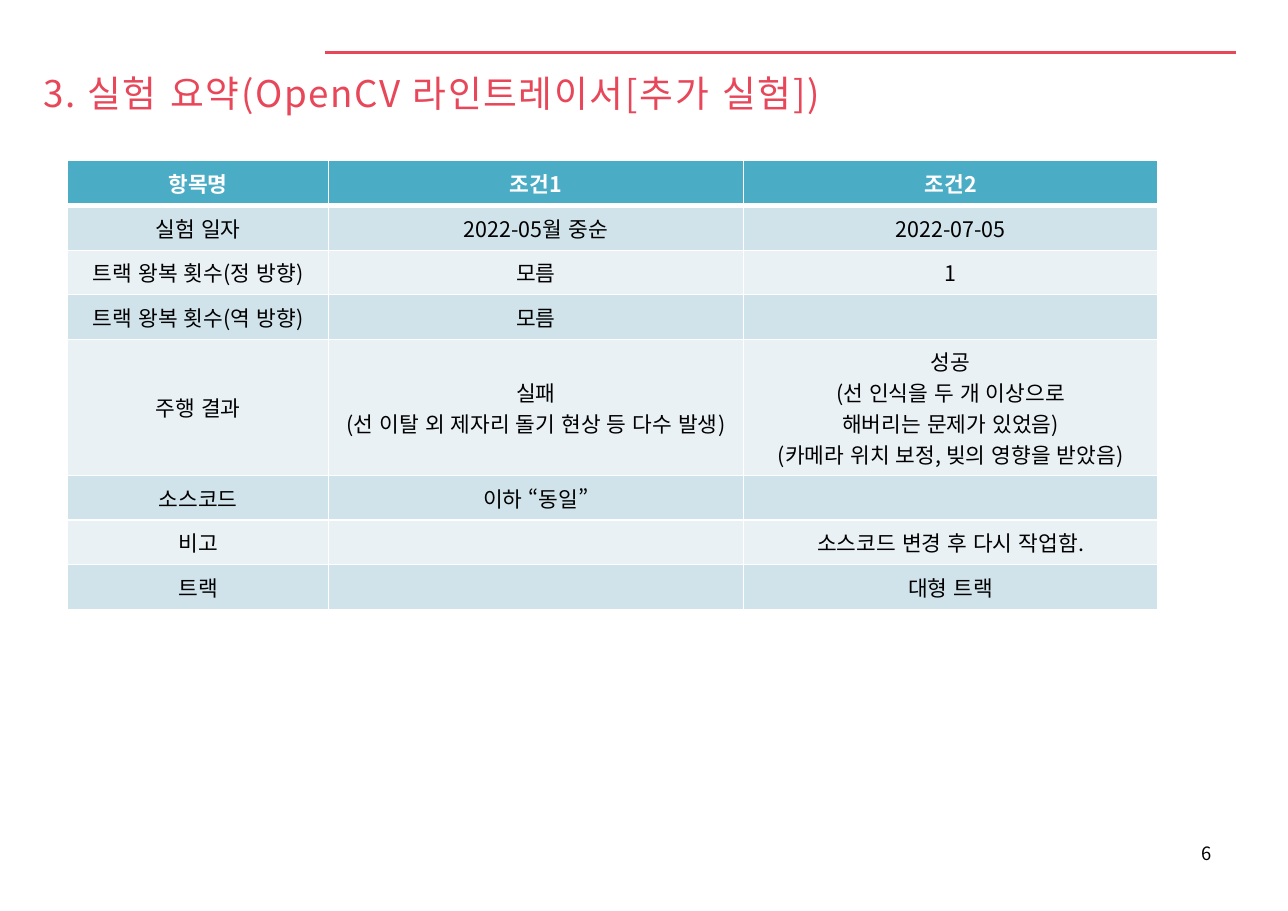
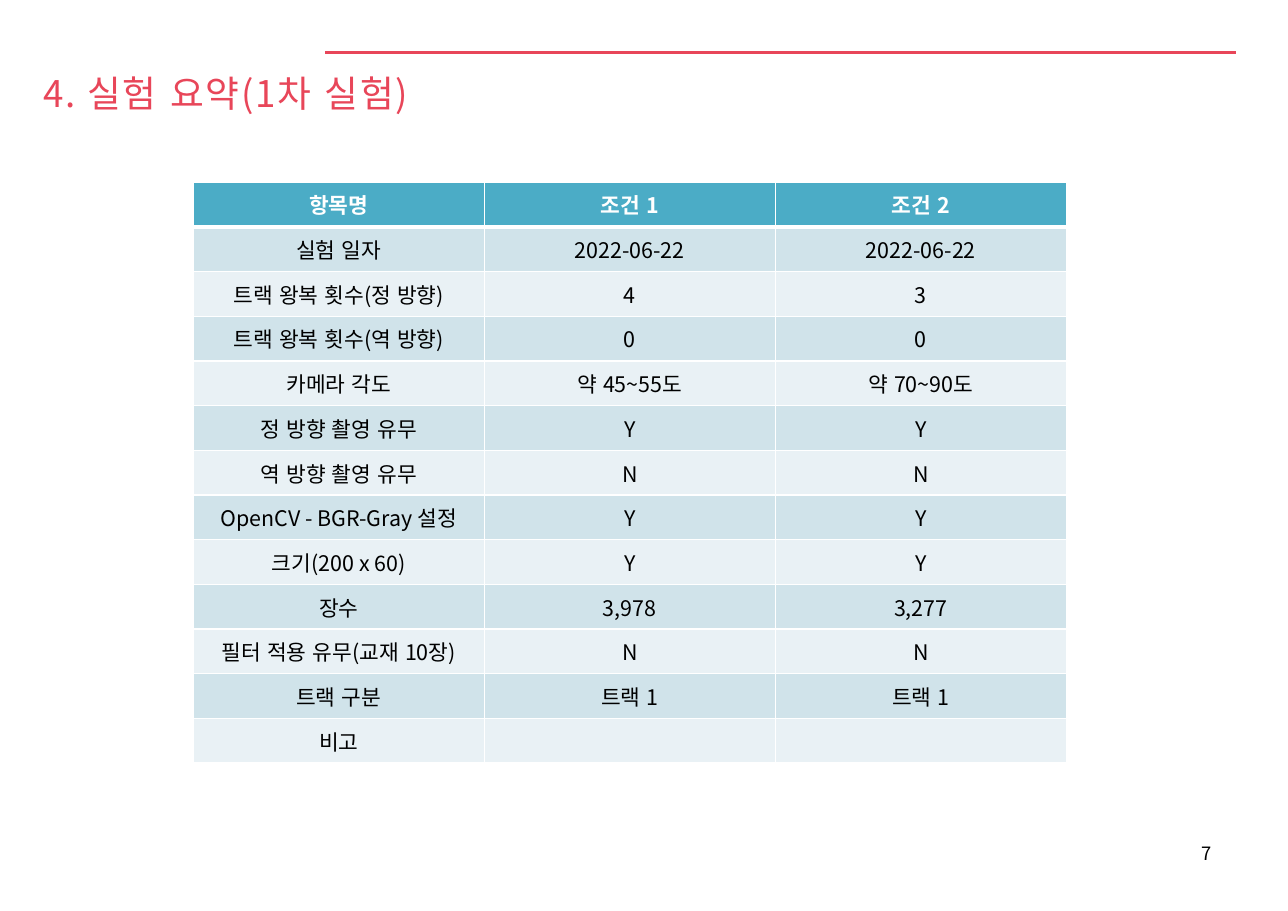
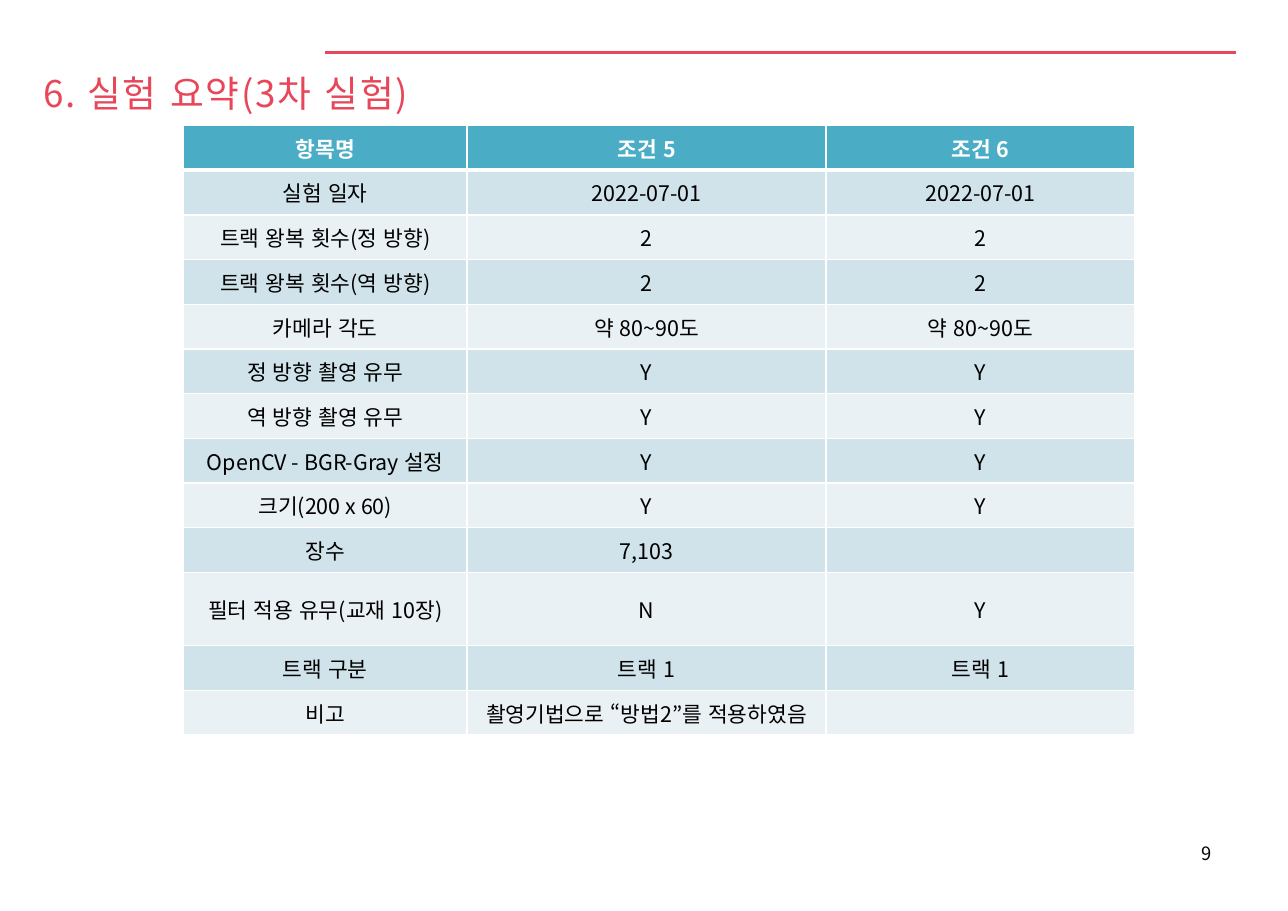
import lxml.etree
import pptx
import pptx.dml.color
import pptx.enum.lang
import pptx.enum.shapes
import pptx.enum.text
import pptx.oxml.ns
import pptx.util

Pt = pptx.util.Pt
qn = pptx.oxml.ns.qn


def colour(value):
    return pptx.dml.color.RGBColor.from_string(value)


class Report:
    """Hold the report style and the current page, and draw each kind of element."""

    FONT = "Noto Sans CJK KR"
    ACCENT, HEADER, WHITE, BLACK = "E84659", "4BACC6", "FFFFFF", "000000"
    BANDS = ("D0E3EA", "E9F1F5")
    ROW_HEIGHT = 29.2
    CELL_SIZE = 14
    VALUE_MARGIN = 3.6

    def __init__(self):
        self.deck = pptx.Presentation()
        self.deck.slide_width = Pt(841.7)
        self.deck.slide_height = Pt(595.4)
        self.page = None

    def add_page(self, title, title_width, number):
        self.page = self.deck.slides.add_slide(self.deck.slide_layouts[5])
        self.rule()
        self.title(title, title_width)
        self.page_number(number)

    def format_span(self, span, size, hex_colour, bold=False):
        span.font.size = Pt(size)
        span.font.bold = bold
        span.font.language_id = pptx.enum.lang.MSO_LANGUAGE_ID.KOREAN
        span.font.color.rgb = colour(hex_colour)
        span.font.name = self.FONT
        properties = span.font._element
        lxml.etree.SubElement(properties, qn("a:ea"), typeface=self.FONT)
        return properties

    def rule(self):
        line = self.page.shapes.add_connector(
            pptx.enum.shapes.MSO_CONNECTOR.STRAIGHT,
            Pt(212.4), Pt(34.2), Pt(807.8), Pt(34.2))
        line.line.color.rgb = colour(self.ACCENT)
        line.line.width = Pt(2)
        lxml.etree.SubElement(line._element.spPr, qn("a:effectLst"))

    def title(self, text, width):
        box = self.page.shapes.title
        box.left, box.top, box.width, box.height = Pt(28.4), Pt(31), Pt(width), Pt(87.8)
        frame = box.text_frame
        frame.text = text
        frame.margin_left = frame.margin_top = frame.margin_right = frame.margin_bottom = 0
        frame.vertical_anchor = pptx.enum.text.MSO_ANCHOR.TOP
        frame.auto_size = pptx.enum.text.MSO_AUTO_SIZE.NONE
        frame.word_wrap = True
        para = frame.paragraphs[0]
        para.alignment = pptx.enum.text.PP_ALIGN.LEFT
        para.line_spacing = Pt(44)
        self.format_span(para.runs[0], 24, self.ACCENT).set("spc", "110")

    def page_number(self, number):
        box = self.page.shapes.add_textbox(Pt(778.3), Pt(547.2), Pt(46.1), Pt(28.8))
        box.text_frame.word_wrap = True
        box.text_frame.text = str(number)
        self.format_span(box.text_frame.paragraphs[0].runs[0], 12, self.BLACK)

    def table(self, left, top, widths, columns, tall_rows=None):
        rows = list(zip(*columns))
        heights = [(tall_rows or {}).get(row[0], self.ROW_HEIGHT) for row in rows]
        grid = self.page.shapes.add_table(
            len(rows), len(widths), Pt(left), Pt(top),
            Pt(sum(widths)), Pt(sum(heights))).table
        grid.horz_banding = False
        for column, width in zip(grid.columns, widths):
            column.width = Pt(width)
        for index, row in enumerate(rows):
            grid.rows[index].height = Pt(heights[index])
            for position, text in enumerate(row):
                cell = grid.cell(index, position)
                self.cell(cell, text, index)
                if position > 0:
                    cell.margin_left = cell.margin_right = Pt(self.VALUE_MARGIN)

    def cell(self, cell, text, row):
        header = row == 0
        self.borders(cell, top=3 if row == 1 else 1, bottom=3 if header else 1)
        cell.fill.solid()
        cell.fill.fore_color.rgb = colour(self.HEADER if header else self.BANDS[(row - 1) % 2])
        cell.vertical_anchor = pptx.enum.text.MSO_ANCHOR.MIDDLE
        cell.text_frame.text = text
        for para in cell.text_frame.paragraphs:
            para.alignment = pptx.enum.text.PP_ALIGN.CENTER
            for span in para.runs:
                self.format_span(span, self.CELL_SIZE, self.WHITE if header else self.BLACK, header)
            if not para.runs:
                lxml.etree.SubElement(para._p, qn("a:endParaRPr"), sz=str(self.CELL_SIZE * 100))

    def borders(self, cell, top, bottom):
        properties = cell._tc.get_or_add_tcPr()
        for side, width in (("L", 1), ("R", 1), ("T", top), ("B", bottom)):
            line = lxml.etree.SubElement(properties, qn("a:ln" + side), w=str(int(Pt(width))))
            fill = lxml.etree.SubElement(line, qn("a:solidFill"))
            lxml.etree.SubElement(fill, qn("a:srgbClr"), val=self.WHITE)


RESULT_LABEL = "주행 결과"
FILTER_LABEL = "필터 적용 유무(교재 10장)"
COMMON_LABELS = ["항목명", "실험 일자", "트랙 왕복 횟수(정 방향)", "트랙 왕복 횟수(역 방향)"]
EXTRA_LABELS = COMMON_LABELS + [RESULT_LABEL, "소스코드", "비고", "트랙"]
TRIAL_LABELS = COMMON_LABELS + [
    "카메라 각도", "정 방향 촬영 유무", "역 방향 촬영 유무", "OpenCV - BGR-Gray 설정",
    "크기(200 x 60)", "장수", FILTER_LABEL, "트랙 구분", "비고"]


def main():
    report = Report()

    report.add_page("3. 실험 요약(OpenCV 라인트레이서[추가 실험])", 744.5, 6)
    report.table(44.2, 105.1, (170.6, 271, 271), (
        EXTRA_LABELS,
        ["조건1", "2022-05월 중순", "모름", "모름",
         "실패\n(선 이탈 외 제자리 돌기 현상 등 다수 발생)", "이하 “동일”", "", ""],
        ["조건2", "2022-07-05", "1", "",
         "성공\n(선 인식을 두 개 이상으로\n해버리는 문제가 있었음)\n"
         "(카메라 위치 보정, 빚의 영향을 받았음)",
         "", "소스코드 변경 후 다시 작업함.", "대형 트랙"]),
        {RESULT_LABEL: 88.8})

    report.add_page("4. 실험 요약(1차 실험)", 573.8, 7)
    report.table(126.3, 119.1, (190.2, 190.2, 190.2), (
        TRIAL_LABELS,
        ["조건 1", "2022-06-22", "4", "0", "약 45~55도", "Y", "N", "Y", "Y",
         "3,978", "N", "트랙 1", ""],
        ["조건 2", "2022-06-22", "3", "0", "약 70~90도", "Y", "N", "Y", "Y",
         "3,277", "N", "트랙 1", ""]))

    report.add_page("6. 실험 요약(3차 실험)", 573.8, 9)
    report.table(120, 82.1, (185.2, 234.7, 201.8), (
        TRIAL_LABELS,
        ["조건 5", "2022-07-01", "2", "2", "약 80~90도", "Y", "Y", "Y", "Y",
         "7,103", "N", "트랙 1", "촬영기법으로 “방법2”를 적용하였음"],
        ["조건 6", "2022-07-01", "2", "2", "약 80~90도", "Y", "Y", "Y", "Y",
         "", "Y", "트랙 1", ""]),
        {FILTER_LABEL: 48})

    report.deck.save("out.pptx")


if __name__ == "__main__":
    main()
